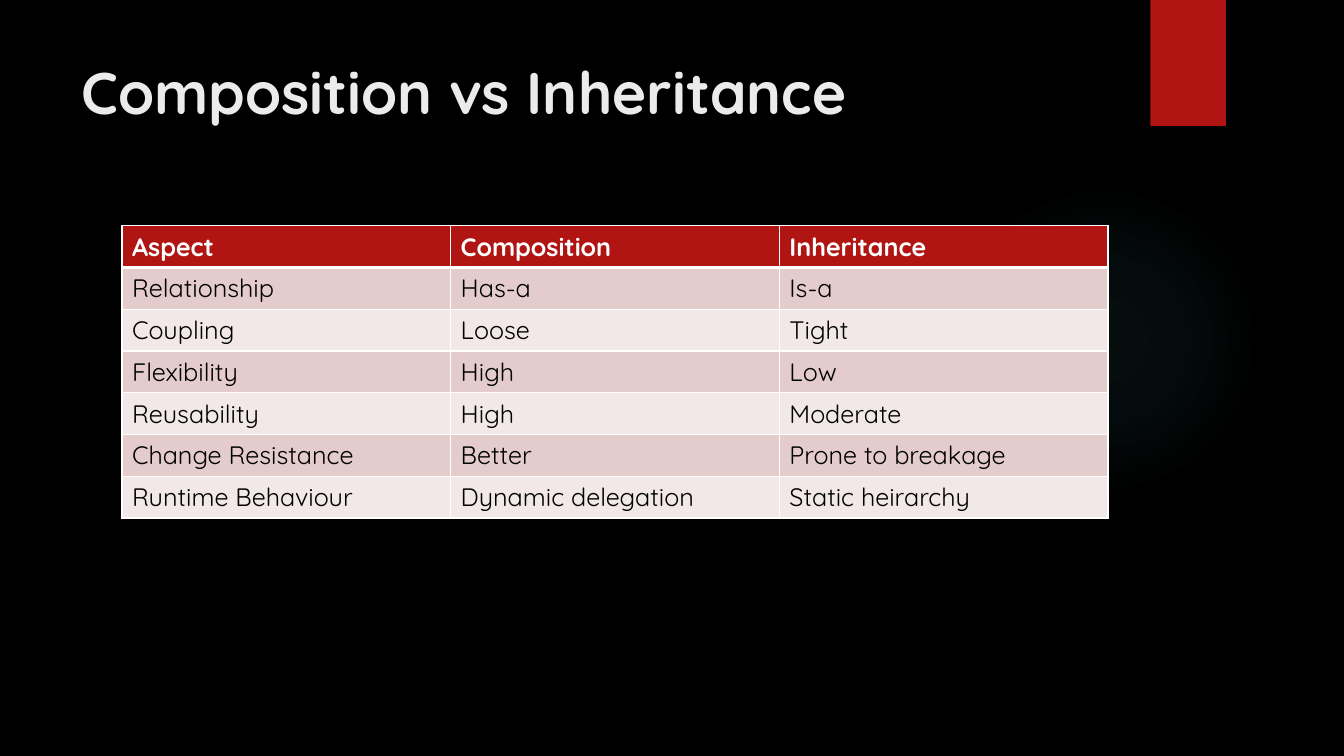
from dataclasses import dataclass

from lxml import etree
from pptx import Presentation
from pptx import util as u
from pptx.dml.color import RGBColor
from pptx.enum import shapes, text
from pptx.oxml import ns


@dataclass(frozen=True)
class Theme:
    font: str = "Quicksand"
    title_size: int = 42
    table_size: int = 18
    background: str = "000000"
    title: str = "EBEBEB"
    accent: str = "B01513"
    glow: str = "50B9C1"
    header_text: str = "FFFFFF"
    body_text: str = "000000"
    border: str = "FFFFFF"
    bands: tuple = ("E4CCCC", "F2E8E7")


THEME = Theme()
GLOW_STOPS = [(0, 7), (36, 6), (69, 0)]  # position and opacity, in percent
ROWS = [
    ("Aspect", "Composition", "Inheritance"),
    ("Relationship", "Has-a", "Is-a"),
    ("Coupling", "Loose", "Tight"),
    ("Flexibility", "High", "Low"),
    ("Reusability", "High", "Moderate"),
    ("Change Resistance", "Better", "Prone to breakage"),
    ("Runtime Behaviour", "Dynamic delegation", "Static heirarchy"),
]


def add_element(parent, tag, **attributes):
    element = etree.SubElement(parent, ns.qn(tag))
    for name, value in attributes.items():
        element.set(name, str(value))
    return element


def paint(fill, color):
    fill.solid()
    fill.fore_color.rgb = RGBColor.from_string(color)


def write(frame, words, size, color, bold):
    span = frame.paragraphs[0].add_run()
    span.text = words
    span.font.name = THEME.font
    span.font.size = u.Pt(size)
    span.font.bold = bold
    span.font.color.rgb = RGBColor.from_string(color)


def add_plain_shape(page, kind, box):
    shape = page.shapes.add_shape(kind, *map(u.Inches, box))
    shape.shadow.inherit = False
    shape.line.fill.background()
    return shape


# Soft round glow that fades towards its rim
def add_glow(page, box):
    glow = add_plain_shape(page, shapes.MSO_SHAPE.OVAL, box)
    gradient = etree.Element(ns.qn("a:gradFill"), rotWithShape="1")
    stops = add_element(gradient, "a:gsLst")
    for position, opacity in GLOW_STOPS:
        stop = add_element(stops, "a:gs", pos=position * 1000)
        color = add_element(stop, "a:srgbClr", val=THEME.glow)
        add_element(color, "a:alpha", val=opacity * 1000)
    circle = add_element(gradient, "a:path", path="circle")
    add_element(circle, "a:fillToRect", l=50000, t=50000, r=50000, b=50000)
    properties = glow.element.spPr
    properties.find(ns.qn("a:prstGeom")).addnext(gradient)


# Red ribbon hanging from the top edge
def add_ribbon(page, box):
    ribbon = add_plain_shape(page, shapes.MSO_SHAPE.RECTANGLE, box)
    paint(ribbon.fill, THEME.accent)


def add_title(page, box, words):
    frame = page.shapes.add_textbox(*map(u.Inches, box)).text_frame
    frame.word_wrap = True
    frame.vertical_anchor = text.MSO_ANCHOR.TOP
    write(frame, words, THEME.title_size, THEME.title, True)


def add_borders(cell, top, bottom):
    properties = cell._tc.get_or_add_tcPr()
    widths = {"a:lnL": 1, "a:lnR": 1, "a:lnT": top, "a:lnB": bottom}
    for tag, width in widths.items():
        line = add_element(properties, tag, w=u.Pt(width))
        fill = add_element(line, "a:solidFill")
        add_element(fill, "a:srgbClr", val=THEME.border)


# Comparison table with a red header and banded rows
def add_comparison(page, box, rows):
    frame = page.shapes.add_table(len(rows), len(rows[0]), *map(u.Inches, box))
    table = frame.table
    for column in table.columns:
        column.width = u.Inches(box[2] / len(rows[0]))
    for row_index, row in enumerate(rows):
        table.rows[row_index].height = u.Inches(box[3] / len(rows))
        header = row_index == 0
        fill = THEME.accent if header else THEME.bands[(row_index - 1) % 2]
        color = THEME.header_text if header else THEME.body_text
        for column_index, words in enumerate(row):
            cell = table.cell(row_index, column_index)
            add_borders(cell, 3 if row_index == 1 else 1, 3 if header else 1)
            paint(cell.fill, fill)
            write(cell.text_frame, words, THEME.table_size, color, header)


def main():
    deck = Presentation()
    deck.slide_width, deck.slide_height = u.Inches(13.33), u.Inches(7.5)
    page = deck.slides.add_slide(deck.slide_layouts[6])
    paint(page.background.fill, THEME.background)
    add_glow(page, (9.41, 1.83, 3.08, 3.08))
    add_ribbon(page, (11.41, 0, 0.75, 1.25))
    add_title(page, (0.71, 0.5, 10.29, 1.53), "Composition vs Inheritance")
    add_comparison(page, (1.21, 2.24, 9.78, 2.9), ROWS)
    deck.save("out.pptx")


if __name__ == "__main__":
    main()
